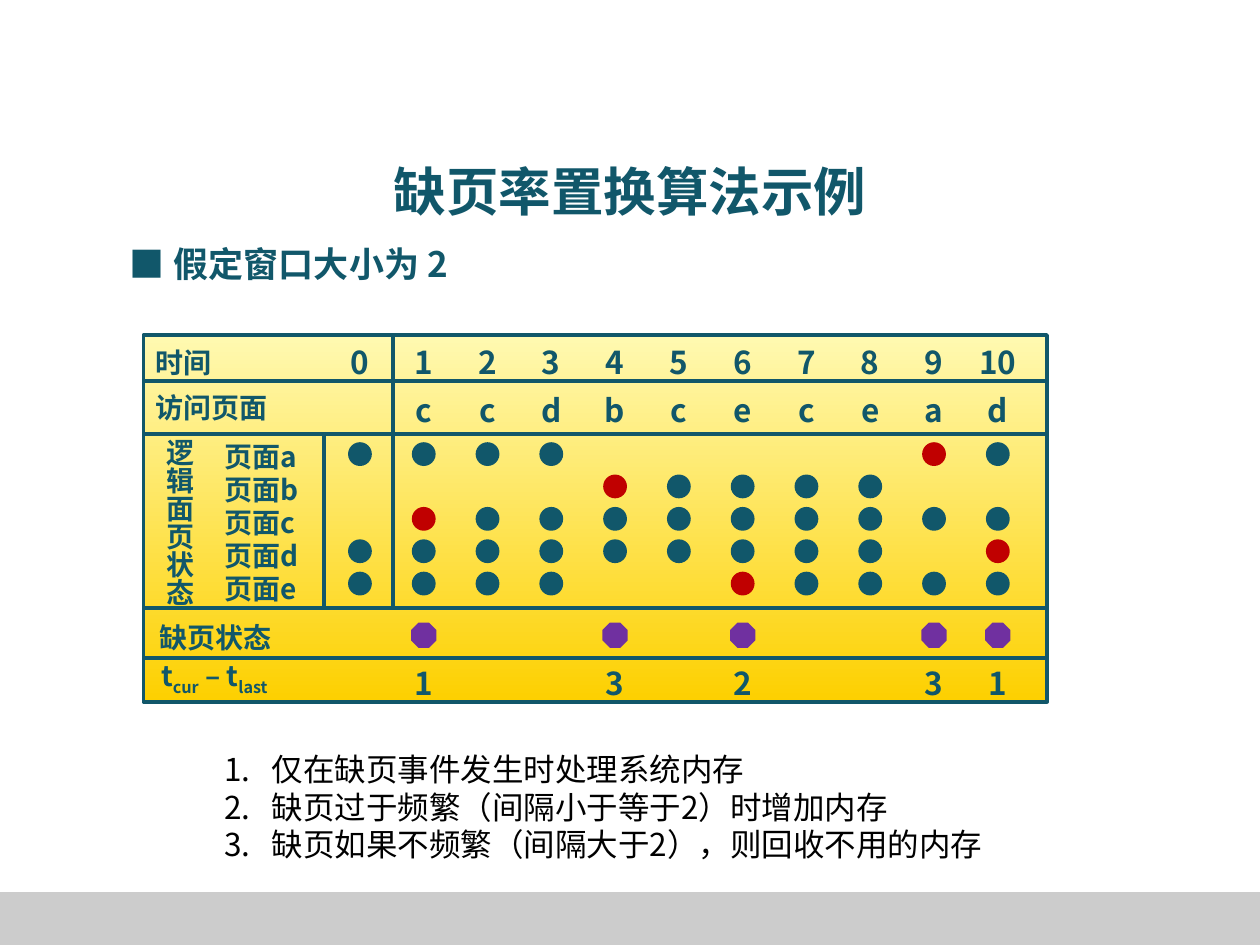
"""Build the slide on the page-fault-frequency replacement algorithm."""
from dataclasses import dataclass

from lxml.etree import SubElement
from pptx import Presentation
from pptx.dml.color import RGBColor
from pptx.enum.shapes import MSO_CONNECTOR, MSO_SHAPE
from pptx.enum.text import MSO_ANCHOR, MSO_AUTO_SIZE, PP_ALIGN
from pptx.oxml.ns import qn
from pptx.util import Pt

TEAL = RGBColor(0x11, 0x57, 0x6A)
RED = RGBColor(0xC0, 0x00, 0x00)
PURPLE = RGBColor(0x70, 0x30, 0xA0)
BLACK = RGBColor(0x00, 0x00, 0x00)
GRAY = RGBColor(0xCC, 0xCC, 0xCC)
PALE_YELLOW = RGBColor(0xFF, 0xF9, 0xB1)
GOLD = RGBColor(0xFD, 0xD0, 0x00)

FONT = "Noto Sans CJK SC"
SYMBOL_FONT = "Noto Sans CJK JP"
TABLE_LEFT, TABLE_TOP, TABLE_RIGHT, TABLE_BOTTOM = 82, 191.5, 598.3, 401
FIRST_COLUMN, COLUMN_STEP = 205.7, 36.45
FIRST_DOT_ROW, DOT_STEP = 259.5, 18.5
FIRST_PAGE_LABEL, LABEL_STEP = 247, 18.8
DOT_SIZE, FAULT_SIZE = 13.6, 14.4
FAULT_ROW = 363

ACCESSES = "ccdbcecead"
RESIDENCE = {
    "a": "oooo.....Fo",
    "b": "....Foooo..",
    "c": ".Fooooooooo",
    "d": "ooooooooo.F",
    "e": "oooo..Foooo",
}
FAULT_INTERVALS = {1: 1, 4: 3, 6: 2, 9: 3, 10: 1}
NOTES = [
    "仅在缺页事件发生时处理系统内存",
    "缺页过于频繁（间隔小于等于2）时增加内存",
    "缺页如果不频繁（间隔大于2），则回收不用的内存",
]


@dataclass(frozen=True)
class Style:
    """Describe the look of one paragraph."""
    size: float = 16
    spacing: float = 20
    color: RGBColor = TEAL
    bold: bool = True
    font: str = FONT
    align: PP_ALIGN = PP_ALIGN.LEFT
    wrap: bool = False


@dataclass(frozen=True)
class Label:
    """Describe a text box by its place, words and look."""
    left: float
    top: float
    width: float
    height: float
    text: str
    style: Style = Style()


@dataclass(frozen=True)
class Rule:
    """Describe a dividing line of the table."""
    left: float
    top: float
    right: float
    bottom: float


HEADING = Style(20, 25)
CELL = Style(18, 22.5, align=PP_ALIGN.CENTER)
LABELS = [
    Label(67, 134.2, 34, 32, "■", Style(20, 25, font=SYMBOL_FONT)),
    Label(92.2, 134.2, 237, 32, "假定窗口大小为 2", HEADING),
    Label(TABLE_LEFT, 193, 56, 27, "时间"),
    Label(TABLE_LEFT, 219, 101, 27, "访问页面"),
    Label(84.2, 350, 83, 27, "缺页状态"),
    Label(81.4, 248.4, 43.9, 104, "逻辑面页状态",
          Style(spacing=16, align=PP_ALIGN.CENTER, wrap=True)),
]
RULES = [Rule(TABLE_LEFT, y, TABLE_RIGHT, y) for y in (217.5, 248.2, 347.5, 376)] + [
    Rule(185, 248.2, 185, 347.5),
    Rule(224.6, TABLE_TOP, 224.6, 347.5),
]


def column_center(time: int) -> float:
    """Return the horizontal centre of a time column."""
    return FIRST_COLUMN + COLUMN_STEP * time


def add_run(para, text: str, style: Style, subscript: bool = False) -> None:
    """Append a formatted run to a paragraph."""
    span = para.add_run()
    span.text = text
    values = {"name": style.font, "size": Pt(style.size), "bold": style.bold}
    for name, value in values.items():
        setattr(span.font, name, value)
    span.font.color.rgb = style.color
    properties = span._r.get_or_add_rPr()
    SubElement(properties, qn("a:ea")).set("typeface", style.font)
    if subscript:
        properties.set("baseline", "-25000")


def format_frame(frame, style: Style) -> None:
    """Fix the size and anchoring of a text frame."""
    values = {"word_wrap": style.wrap, "auto_size": MSO_AUTO_SIZE.NONE,
              "vertical_anchor": MSO_ANCHOR.TOP}
    for name, value in values.items():
        setattr(frame, name, value)


def format_paragraph(para, style: Style) -> None:
    """Set the alignment and spacing of a paragraph."""
    values = {"alignment": style.align, "line_spacing": Pt(style.spacing),
              "space_before": Pt(0), "space_after": Pt(0)}
    for name, value in values.items():
        setattr(para, name, value)


def place(box, left: float, top: float, width: float, height: float) -> None:
    """Move and size a placeholder."""
    values = {"left": left, "top": top, "width": width, "height": height}
    for name, value in values.items():
        setattr(box, name, Pt(value))


def add_label(page, label: Label):
    """Draw a text box and return its paragraph."""
    box = page.shapes.add_textbox(Pt(label.left), Pt(label.top), Pt(label.width), Pt(label.height))
    format_frame(box.text_frame, label.style)
    para = box.text_frame.paragraphs[0]
    format_paragraph(para, label.style)
    if label.text:
        add_run(para, label.text, label.style)
    return para


def add_cell(page, time: int, top: float, text: str) -> None:
    """Write a value centred in a time column."""
    add_label(page, Label(column_center(time) - 18, top, 36, 29, text, CELL))


def add_block(page, kind: MSO_SHAPE, left: float, top: float, width: float, height: float, color: RGBColor):
    """Draw a plain filled shape without an outline."""
    block = page.shapes.add_shape(kind, Pt(left), Pt(top), Pt(width), Pt(height))
    block.shadow.inherit = False
    block.fill.solid()
    block.fill.fore_color.rgb = color
    block.line.fill.background()
    return block


def add_marker(page, kind: MSO_SHAPE, time: int, middle: float, size: float, color: RGBColor) -> None:
    """Draw a marker centred in a time column."""
    add_block(page, kind, column_center(time) - size / 2, middle - size / 2, size, size, color)


def add_rule(page, rule: Rule) -> None:
    """Draw a dividing line of the table."""
    line = page.shapes.add_connector(MSO_CONNECTOR.STRAIGHT, Pt(rule.left), Pt(rule.top),
                                     Pt(rule.right), Pt(rule.bottom))
    line.line.color.rgb = TEAL
    line.line.width = Pt(2.25)
    SubElement(line._element.spPr, qn("a:effectLst"))


def add_panel(page) -> None:
    """Draw the gradient table background and its lines."""
    panel = add_block(page, MSO_SHAPE.RECTANGLE, TABLE_LEFT, TABLE_TOP,
                      TABLE_RIGHT - TABLE_LEFT, TABLE_BOTTOM - TABLE_TOP, GOLD)
    panel.fill.gradient()
    panel.fill.gradient_angle = 270
    for stop, color in zip(panel.fill.gradient_stops, (PALE_YELLOW, GOLD)):
        stop.color.rgb = color
    panel.line.color.rgb = TEAL
    panel.line.width = Pt(2.25)
    for rule in RULES:
        add_rule(page, rule)


def add_timeline(page) -> None:
    """Fill the table with times, accesses, residence and faults."""
    for time in range(len(ACCESSES) + 1):
        add_cell(page, time, TABLE_TOP, str(time))
    for time, name in enumerate(ACCESSES, 1):
        add_cell(page, time, 219, name)
    for row, (name, states) in enumerate(RESIDENCE.items()):
        add_label(page, Label(121.5, FIRST_PAGE_LABEL + LABEL_STEP * row, 78, 27, f"页面{name}"))
        for time, state in enumerate(states):
            if state != ".":
                add_marker(page, MSO_SHAPE.OVAL, time, FIRST_DOT_ROW + DOT_STEP * row,
                           DOT_SIZE, RED if state == "F" else TEAL)
    for time, interval in FAULT_INTERVALS.items():
        add_marker(page, MSO_SHAPE.OCTAGON, time, FAULT_ROW, FAULT_SIZE, PURPLE)
        add_cell(page, time, 375.2, str(interval))
    formula = add_label(page, Label(85, 374.4, 101, 27, ""))
    for text, subscript in (("t", False), ("cur", True), (" – t", False), ("last", True)):
        add_run(formula, text, Style(), subscript)


def fill_title(title) -> None:
    """Write the slide title."""
    style = Style(30, 37.5, align=PP_ALIGN.CENTER, wrap=True)
    place(title, 0, 85.8, 720, 44)
    format_frame(title.text_frame, style)
    para = title.text_frame.paragraphs[0]
    format_paragraph(para, style)
    add_run(para, "缺页率置换算法示例", style)


def fill_notes(body) -> None:
    """Write the numbered list below the table."""
    style = Style(18, 21.4, BLACK, False, wrap=True)
    place(body, 121, 425.2, 511, 73)
    format_frame(body.text_frame, style)
    for index, note in enumerate(NOTES):
        para = body.text_frame.add_paragraph() if index else body.text_frame.paragraphs[0]
        format_paragraph(para, style)
        properties = para._p.get_or_add_pPr()
        for name, value in {"marL": Pt(27), "indent": Pt(-27)}.items():
            properties.set(name, str(value))
        SubElement(properties, qn("a:buFont")).set("typeface", FONT)
        SubElement(properties, qn("a:buAutoNum")).set("type", "arabicPeriod")
        add_run(para, note, style)


def main() -> None:
    """Build and save the deck."""
    deck = Presentation()
    deck.slide_width, deck.slide_height = Pt(720), Pt(540)
    page = deck.slides.add_slide(deck.slide_layouts[1])
    add_block(page, MSO_SHAPE.RECTANGLE, 0, 509.8, 720, 30.2, GRAY)
    fill_title(page.shapes.title)
    add_panel(page)
    for label in LABELS:
        add_label(page, label)
    add_timeline(page)
    fill_notes(page.placeholders[1])
    deck.save("out.pptx")


if __name__ == "__main__":
    main()
